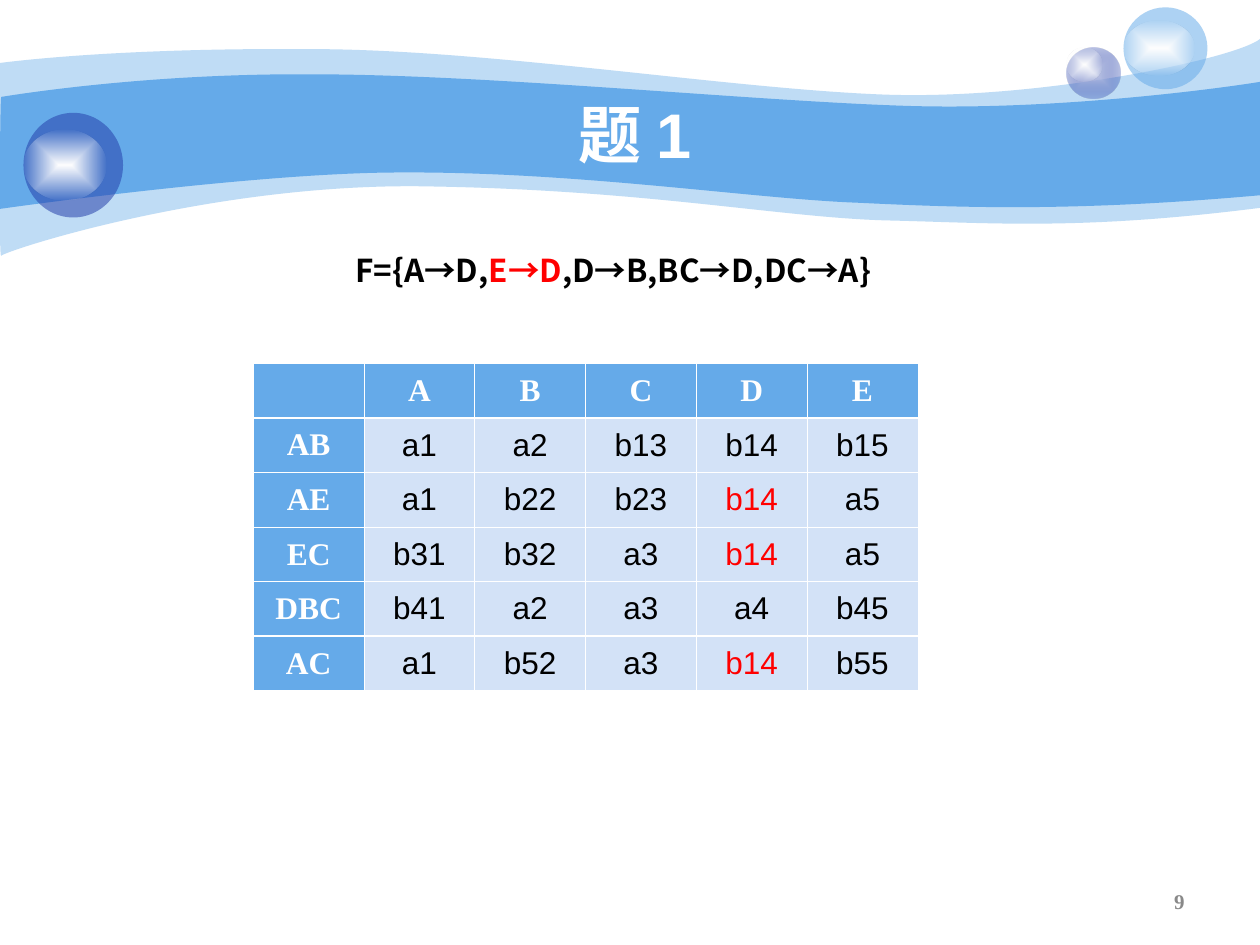
from dataclasses import dataclass

from pptx import Presentation
from pptx.dml.color import RGBColor
from pptx.enum import shapes, text
from pptx.oxml import ns
from pptx.util import Pt


@dataclass(frozen=True)
class Theme:
    sky: str = "65AAE9"
    pale: str = "D3E2F7"
    navy: str = "233DA9"
    lilac: str = "C7CEE9"
    white: str = "FFFFFF"
    black: str = "000000"
    red: str = "FF0000"
    grey: str = "898989"
    sans: str = "Arial"
    serif: str = "Times New Roman"
    cjk: str = "Noto Sans CJK SC"
    title: int = 36
    body: int = 18
    small: int = 12
    thin: float = 0.45
    thick: float = 1.47


THEME = Theme()
CENTER, RIGHT, LEFT = (text.PP_ALIGN.CENTER, text.PP_ALIGN.RIGHT, text.PP_ALIGN.LEFT)
MIDDLE, TOP = text.MSO_ANCHOR.MIDDLE, text.MSO_ANCHOR.TOP

PALE_WAVE = (
    ((0, 36),),
    ((17.3, 33.8), (77, 27.4), (177.8, 28.1)),
    ((277.9, 28.1), (414, 50.4), (503.3, 54)),
    ((591.8, 57.6), (705.6, 33.8), (720, 22.3)),
    ((720, 118.8),),
    ((617.8, 131.8), (566.6, 127.4), (507.6, 126)),
    ((447.8, 124.6), (370.8, 108.7), (247, 106.6)),
    ((123.8, 103.7), (2.9, 143.3), (0.7, 146.2)),
    ((-0.7, 149.8), (0, 54), (0, 36)),
)
SKY_WAVE = (
    ((0.7, 55.4),),
    ((1.4, 55.4), (79.2, 41.8), (178.6, 42.5)),
    ((277.9, 42.5), (428.4, 57.6), (517, 60.5)),
    ((605.5, 63.4), (702.7, 49.7), (720, 46.8)),
    ((720, 111.6),),
    ((614.2, 121), (550.8, 118.8), (491, 115.9)),
    ((431.3, 113.8), (329.8, 97.9), (228.2, 98.6)),
    ((146.2, 98.6), (-1.4, 119.5), (-0.7, 119.5)),
    ((0, 119.5), (0, 55.4), (0.7, 55.4)),
)
TABLEAU = (
    ("", "A", "B", "C", "D", "E"),
    ("AB", "a1", "a2", "b13", "b14", "b15"),
    ("AE", "a1", "b22", "b23", "b14", "a5"),
    ("EC", "b31", "b32", "a3", "b14", "a5"),
    ("DBC", "b41", "a2", "a3", "a4", "b45"),
    ("AC", "a1", "b52", "a3", "b14", "b55"),
)
CHANGED = {(2, 4), (3, 4), (5, 4)}
THICK_RULES = {1, 5}


def child(parent, tag, **attributes):
    element = parent.makeelement(ns.qn(tag), attributes)
    parent.append(element)
    return element


def set_alpha(color_element, percent):
    if percent < 100:
        child(color_element, "a:alpha", val=str(percent * 1000))


def fill_solid(shape, color, alpha=100):
    shape.fill.solid()
    shape.fill.fore_color.rgb = RGBColor.from_string(color)
    set_alpha(next(shape.fill._xPr.iter(ns.qn("a:srgbClr"))), alpha)


def fill_glow(shape, center, edge, alpha):
    shape.fill.gradient()
    gradient = shape.fill._xPr.find(ns.qn("a:gradFill"))
    for stop, color, position in zip(shape.fill.gradient_stops, (center, edge), (0, 1)):
        stop.color.rgb = RGBColor.from_string(color)
        stop.position = position
    set_alpha(list(gradient.iter(ns.qn("a:srgbClr")))[1], alpha)
    gradient.remove(gradient.find(ns.qn("a:lin")))
    shade = child(gradient, "a:path", path="rect")
    child(shade, "a:fillToRect", **dict.fromkeys("ltrb", "50000"))


def add_run(paragraph, words, color, **formats):
    run = paragraph.add_run()
    run.text = words
    run.font.color.rgb = RGBColor.from_string(color)
    for key, value in formats.items():
        setattr(run.font, key, value)
    child(run.font._element, "a:ea", typeface=THEME.cjk)


def add_line_of_text(slide, box, runs, align, anchor, **formats):
    frame = slide.shapes.add_textbox(*map(Pt, box)).text_frame
    frame.word_wrap = True
    frame.vertical_anchor = anchor
    paragraph = frame.paragraphs[0]
    paragraph.alignment = align
    for words, color in runs:
        add_run(paragraph, words, color, **formats)


def curve_outline(wave, segments):
    lines = iter(list(wave._element.iter(ns.qn("a:lnTo"))))
    for segment in segments:
        first, *others = [next(lines) for _ in segment]
        if others:
            curve = first.makeelement(ns.qn("a:cubicBezTo"), {})
            first.addprevious(curve)
            for line in (first, *others):
                curve.append(line[0])
                line.getparent().remove(line)


def add_wave(slide, left, top, outline, alpha):
    start, *rest = [(Pt(left + x), Pt(top + y)) for segment in outline for x, y in segment]
    builder = slide.shapes.build_freeform(*start)
    builder.add_line_segments(rest, close=True)
    wave = builder.convert_to_shape()
    curve_outline(wave, outline[1:])
    wave.shadow.inherit = False
    wave.line.fill.background()
    fill_solid(wave, THEME.sky, alpha)


def add_ellipse(group, box):
    ellipse = group.shapes.add_shape(shapes.MSO_SHAPE.OVAL, *map(Pt, box))
    ellipse.shadow.inherit = False
    ellipse.line.fill.background()
    return ellipse


def add_bubble(slide, box, shine, paint, *colors):
    left, top, _, _ = box
    drop, width, height = shine
    group = slide.shapes.add_group_shape()
    paint(add_ellipse(group, box), *colors)
    fill_glow(add_ellipse(group, (left, top + drop, width, height)),
              THEME.white, THEME.white, 0)


def add_banner(slide, left, top):
    add_wave(slide, left, top, PALE_WAVE, 41)
    add_wave(slide, left, top, SKY_WAVE, 100)
    for x, y, width, height, shine, paint, colors in (
        (609.6, 27.1, 30.6, 29, (0, 20.2, 19.4), fill_glow, (THEME.lilac, THEME.navy, 31)),
        (642, 4.2, 48, 46.8, (7.9, 40.3, 31), fill_solid, (THEME.sky, 53)),
        (13.4, 64.5, 56.9, 59.8, (9.6, 47.3, 40.3), fill_solid, (THEME.navy, 53)),
    ):
        add_bubble(slide, (left + x, top + y, width, height), shine, paint, *colors)
    add_line_of_text(slide, (left + 72, top + 54, 581.8, 44.6), [("题 1", THEME.white)],
                     CENTER, MIDDLE, name=THEME.sans, size=Pt(THEME.title), bold=True)


def add_dependencies(slide, box):
    runs = [("F={A→D,", THEME.black), ("E→D", THEME.red),
            (",D→B,BC→D,DC→A}", THEME.black)]
    add_line_of_text(slide, box, runs, LEFT, TOP,
                     name=THEME.cjk, size=Pt(THEME.body), bold=True)


def set_borders(cell, row):
    properties = cell._tc.get_or_add_tcPr()
    widths = {"L": THEME.thin, "R": THEME.thin,
              "T": THEME.thick if row in THICK_RULES else THEME.thin,
              "B": THEME.thick if row + 1 in THICK_RULES else THEME.thin}
    for side, width in widths.items():
        border = child(properties, f"a:ln{side}", w=str(Pt(width)))
        child(child(border, "a:solidFill"), "a:srgbClr", val=THEME.white)


def add_tableau(slide, box):
    rows, columns = len(TABLEAU), len(TABLEAU[0])
    table = slide.shapes.add_table(rows, columns, *map(Pt, box)).table
    for column in table.columns:
        column.width = Pt(box[2] / columns)
    for r, values in enumerate(TABLEAU):
        table.rows[r].height = Pt(box[3] / rows)
        for c, value in enumerate(values):
            heading = r == 0 or c == 0
            cell = table.cell(r, c)
            set_borders(cell, r)
            fill_solid(cell, THEME.sky if heading else THEME.pale)
            cell.vertical_anchor = MIDDLE
            cell.margin_left = cell.margin_right = Pt(5)
            paragraph = cell.text_frame.paragraphs[0]
            paragraph.alignment = CENTER
            if value:
                ink = THEME.red if (r, c) in CHANGED else THEME.black
                add_run(paragraph, value, THEME.white if heading else ink,
                        name=THEME.serif if heading else THEME.sans,
                        size=Pt(THEME.body), bold=heading)


def add_page_number(slide, box):
    add_line_of_text(slide, box, [("9", THEME.grey)], RIGHT, MIDDLE,
                     name=THEME.serif, size=Pt(THEME.small), bold=True)


def main():
    deck = Presentation()
    deck.slide_width, deck.slide_height = Pt(720), Pt(540)
    slide = deck.slides.add_slide(deck.slide_layouts[6])
    add_banner(slide, 0, 0)
    add_page_number(slide, (516, 500.5, 168, 28.8))
    add_tableau(slide, (144.7, 207.6, 379.8, 187.2))
    add_dependencies(slide, (196, 139.7, 317.5, 28.8))
    deck.save("out.pptx")


if __name__ == "__main__":
    main()
